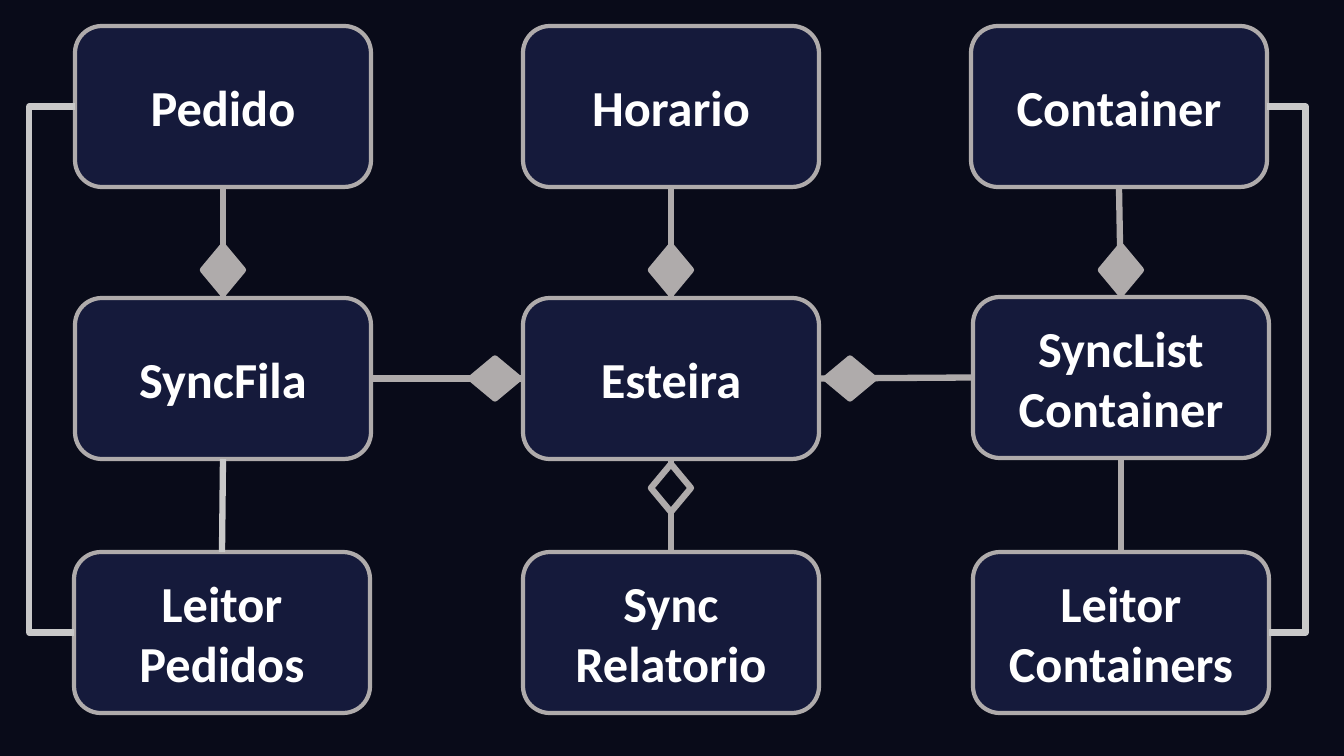
import pptx
import pptx.util
import pptx.dml.color
import pptx.enum.shapes
import pptx.enum.text
import pptx.oxml.ns
from lxml import etree

PX = 914400 / 100.8
COLORS = {"night": "090B19", "navy": "151A3B", "grey": "AFABAB",
          "silver": "C9C9C9", "white": "FFFFFF"}

# Content: class name -> text lines, left and top in px
CLASSES = {
    "Pedido": (["Pedido"], 75, 26),
    "Horario": (["Horario"], 523, 26),
    "Container": (["Container"], 971, 26),
    "SyncFila": (["SyncFila"], 75, 298),
    "Esteira": (["Esteira"], 523, 298),
    "SyncListContainer": (["SyncList", "Container"], 973, 297),
    "LeitorPedidos": (["Leitor", "Pedidos"], 74, 552),
    "SyncRelatorio": (["Sync", "Relatorio"], 523, 552),
    "LeitorContainers": (["Leitor", "Containers"], 973, 552),
}
CLASS_W, CLASS_H = 296, 161
DIAMOND_W, DIAMOND_H = 40, 48

# Connection sites of a rounded rectangle
TOP, LEFT, BOTTOM, RIGHT = range(4)

# Part, its side, whole, its side, line colour
ASSOCIATIONS = [
    ("Pedido", BOTTOM, "SyncFila", TOP, "grey"),
    ("Horario", BOTTOM, "Esteira", TOP, "grey"),
    ("Container", BOTTOM, "SyncListContainer", TOP, "grey"),
    ("SyncFila", RIGHT, "Esteira", LEFT, "grey"),
    ("SyncListContainer", LEFT, "Esteira", RIGHT, "grey"),
    ("SyncRelatorio", TOP, "Esteira", BOTTOM, "grey"),
    ("SyncFila", BOTTOM, "LeitorPedidos", TOP, "silver"),
    ("SyncListContainer", BOTTOM, "LeitorContainers", TOP, "grey"),
]

# Whole, side, px from its edge to the diamond's centre, fill
DIAMONDS = [
    ("SyncFila", TOP, 28, "grey"),
    ("Esteira", TOP, 28, "grey"),
    ("SyncListContainer", TOP, 27, "grey"),
    ("Esteira", LEFT, 28, "grey"),
    ("Esteira", RIGHT, 31, "grey"),
    ("Esteira", BOTTOM, 29, "night"),
]

# Reader loops: from, to, side, px that the loop stands out
LOOPS = [
    ("Pedido", "LeitorPedidos", LEFT, 46),
    ("Container", "LeitorContainers", RIGHT, 39),
]


def emu(px):
    return pptx.util.Emu(round(px * PX))


def color(name):
    return pptx.dml.color.RGBColor.from_string(COLORS[name])


def add_outlined(kind, left, top, width, height, fill, line_pt):
    shape = slide.shapes.add_shape(kind, emu(left), emu(top), emu(width), emu(height))
    shape.shadow.inherit = False
    shape.fill.solid()
    shape.fill.fore_color.rgb = color(fill)
    shape.line.color.rgb = color("grey")
    shape.line.width = pptx.util.Pt(line_pt)
    return shape


def add_link(kind, start, start_side, end, end_side, tint):
    link = slide.shapes.add_connector(kind, 0, 0, 0, 0)
    link.begin_connect(boxes[start], start_side)
    link.end_connect(boxes[end], end_side)
    link.line.color.rgb = color(tint)
    link.line.width = pptx.util.Pt(4.5)
    etree.SubElement(link._element.spPr, pptx.oxml.ns.qn("a:effectLst"))
    return link


deck = pptx.Presentation()
deck.slide_width, deck.slide_height = emu(1344), emu(756)
slide = deck.slides.add_slide(deck.slide_layouts[6])
slide.background.fill.solid()
slide.background.fill.fore_color.rgb = color("night")
SHAPE = pptx.enum.shapes.MSO_SHAPE
CONNECTOR = pptx.enum.shapes.MSO_CONNECTOR

# Class boxes
boxes = {}
for name, (lines, left, top) in CLASSES.items():
    box = add_outlined(SHAPE.ROUNDED_RECTANGLE, left, top, CLASS_W, CLASS_H, "navy", 3)
    box.text_frame.word_wrap = True
    box.text_frame.vertical_anchor = pptx.enum.text.MSO_ANCHOR.MIDDLE
    label = box.text_frame.paragraphs[0]
    label.alignment = pptx.enum.text.PP_ALIGN.CENTER
    for number, line in enumerate(lines):
        if number:
            label.add_line_break()
        run = label.add_run()
        run.text = line
        run.font.name = "Calibri"
        run.font.size = pptx.util.Pt(36)
        run.font.bold = True
        run.font.color.rgb = color("white")
    boxes[name] = box

# Straight associations
for association in ASSOCIATIONS:
    add_link(CONNECTOR.STRAIGHT, *association)

# Composition and aggregation diamonds
for whole, side, gap, fill in DIAMONDS:
    _, left, top = CLASSES[whole]
    center_x, center_y = {
        TOP: (left + CLASS_W / 2, top - gap),
        LEFT: (left - gap, top + CLASS_H / 2),
        BOTTOM: (left + CLASS_W / 2, top + CLASS_H + gap),
        RIGHT: (left + CLASS_W + gap, top + CLASS_H / 2),
    }[side]
    diamond = add_outlined(SHAPE.DIAMOND, center_x - DIAMOND_W / 2, center_y - DIAMOND_H / 2,
                           DIAMOND_W, DIAMOND_H, fill, 4.5)
    diamond.rotation = 90 if side in (LEFT, RIGHT) else 0

# Reader loops, bent beyond the outer edges
for start, end, side, reach in LOOPS:
    loop = add_link(CONNECTOR.ELBOW, start, side, end, side, "silver")
    bend = round(emu(reach) / loop.width * 100000)
    guides = loop._element.spPr.prstGeom.get_or_add_avLst()
    etree.SubElement(guides, pptx.oxml.ns.qn("a:gd"), name="adj1", fmla=f"val {bend}")

deck.save("out.pptx")
